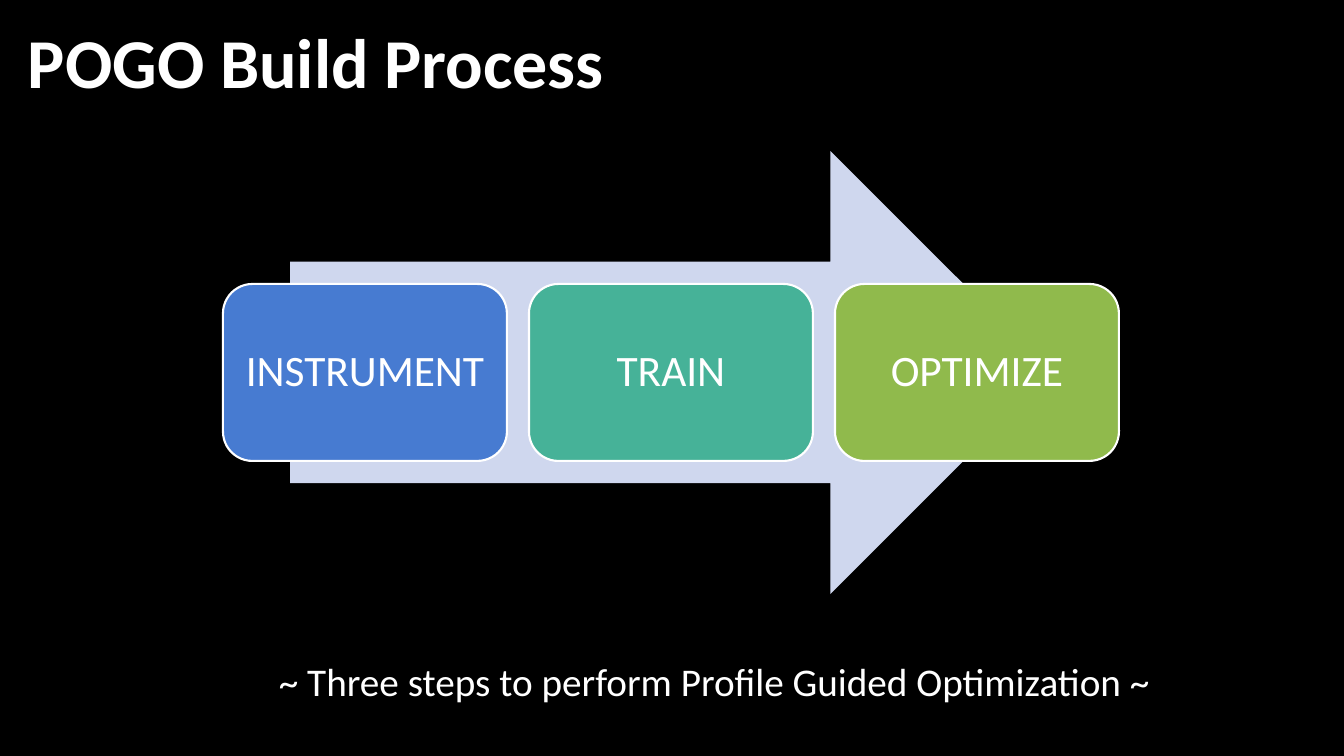
from pptx import Presentation
from pptx.dml.color import RGBColor
from pptx.enum.shapes import MSO_SHAPE
from pptx.enum.text import MSO_ANCHOR, PP_ALIGN
from pptx.util import Pt

PX = 914400 / 100.8
BLACK = RGBColor(0x00, 0x00, 0x00)
WHITE = RGBColor(0xFF, 0xFF, 0xFF)
LAVENDER = RGBColor(0xCF, 0xD7, 0xEE)
BLUE = RGBColor(0x47, 0x7B, 0xD1)
TEAL = RGBColor(0x46, 0xB2, 0x98)
GREEN = RGBColor(0x90, 0xBA, 0x4C)


def px(*lengths):
    """Convert pixel lengths to EMU."""
    return [round(length * PX) for length in lengths]


def write(shape, text, size, bold=False):
    shape.text_frame.text = text
    font = shape.text_frame.paragraphs[0].runs[0].font
    font.name = "Calibri"
    font.size = Pt(size)
    font.bold = bold
    font.color.rgb = WHITE


presentation = Presentation()
presentation.slide_width, presentation.slide_height = px(1344, 756)
slide = presentation.slides.add_slide(presentation.slide_layouts[6])
slide.background.fill.solid()
slide.background.fill.fore_color.rgb = BLACK

title = slide.shapes.add_textbox(*px(18, -19, 1192, 160))
write(title, "POGO Build Process", 50, bold=True)
title.text_frame.word_wrap = True
title.text_frame.vertical_anchor = MSO_ANCHOR.MIDDLE

arrow = slide.shapes.add_shape(MSO_SHAPE.RIGHT_ARROW, *px(290, 151, 762, 443))
arrow.shadow.inherit = False
arrow.fill.solid()
arrow.fill.fore_color.rgb = LAVENDER
arrow.line.fill.background()

steps = [("INSTRUMENT", BLUE), ("TRAIN", TEAL), ("OPTIMIZE", GREEN)]
for index, (name, color) in enumerate(steps):
    step = slide.shapes.add_shape(
        MSO_SHAPE.ROUNDED_RECTANGLE, *px(223 + 306 * index, 284, 284, 177))
    step.shadow.inherit = False
    step.fill.solid()
    step.fill.fore_color.rgb = color
    step.line.color.rgb = WHITE
    step.line.width = Pt(1.5)
    write(step, name, 31)
    frame = step.text_frame
    frame.word_wrap = False
    frame.vertical_anchor = MSO_ANCHOR.MIDDLE
    frame.paragraphs[0].alignment = PP_ALIGN.CENTER
    frame.paragraphs[0].line_spacing = 0.9

caption = slide.shapes.add_textbox(*px(269, 652, 901, 58))
write(caption, "~ Three steps to perform Profile Guided Optimization ~", 28)
caption.text_frame.word_wrap = False

presentation.save("out.pptx")
